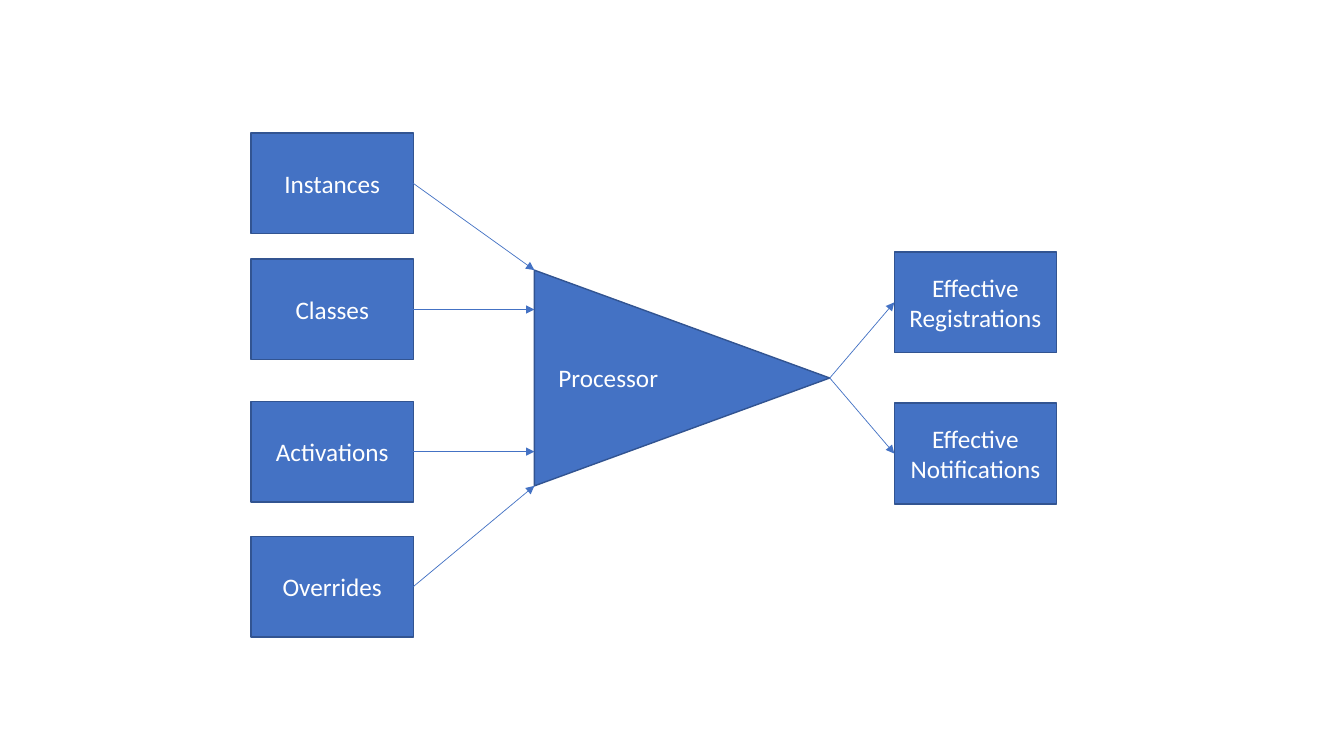
from dataclasses import dataclass

from lxml import etree
from pptx import Presentation
from pptx.dml.color import RGBColor
from pptx.enum.shapes import MSO_CONNECTOR, MSO_SHAPE
from pptx.enum.text import MSO_ANCHOR, PP_ALIGN
from pptx.oxml.ns import qn
from pptx.shapes.autoshape import Shape
from pptx.slide import Slide
from pptx.text.text import TextFrame
from pptx.util import Inches, Pt

RECTANGLE = MSO_SHAPE.RECTANGLE
STRAIGHT = MSO_CONNECTOR.STRAIGHT
MIDDLE = MSO_ANCHOR.MIDDLE
LEFT, CENTER = PP_ALIGN.LEFT, PP_ALIGN.CENTER

SLIDE_WIDTH, SLIDE_HEIGHT = Inches(13.33), Inches(7.5)
BLANK_LAYOUT = 6


@dataclass(frozen=True)
class Theme:
    """Colours, font and line weights of the diagram."""
    fill: RGBColor = RGBColor(0x44, 0x72, 0xC4)
    outline: RGBColor = RGBColor(0x32, 0x54, 0x91)
    text: RGBColor = RGBColor(0xFF, 0xFF, 0xFF)
    font: str = "Calibri"
    text_size: Pt = Pt(18)
    outline_width: Pt = Pt(1)
    arrow_width: Pt = Pt(0.5)


@dataclass(frozen=True)
class Node:
    """A labelled box; its top is a percentage of the slide height."""
    label: str
    top: float

    @property
    def middle(self) -> float:
        """Vertical centre of the box."""
        return self.top + NODE_HEIGHT / 2


THEME = Theme()

# Horizontal and vertical percentages of the slide size
NODE_WIDTH, NODE_HEIGHT = 12.08, 13.33
INPUT_LEFT, OUTPUT_LEFT = 18.68, 66.54
PROCESSOR_LEFT, PROCESSOR_TIP = 39.76, 61.74
PROCESSOR_MIDDLE, PROCESSOR_HALF = 50, 14.27
PROCESSOR_TOP = PROCESSOR_MIDDLE - PROCESSOR_HALF
PROCESSOR_BOTTOM = PROCESSOR_MIDDLE + PROCESSOR_HALF
LABEL_LEFT, LABEL_TOP, LABEL_WIDTH, LABEL_HEIGHT = 40.81, 47.33, 9, 5.33

INPUTS = [
    Node("Instances", 17.6),
    Node("Classes", 34.27),
    Node("Activations", 53.07),
    Node("Overrides", 70.93),
]
OUTPUTS = [
    Node("Effective Registrations", 33.33),
    Node("Effective Notifications", 53.33),
]


def across(percent: float) -> int:
    """Turn a percentage of the slide width into a length."""
    return round(SLIDE_WIDTH * percent / 100)


def down(percent: float) -> int:
    """Turn a percentage of the slide height into a length."""
    return round(SLIDE_HEIGHT * percent / 100)


def style_shape(shape: Shape) -> None:
    """Apply the fill and outline and remove the shadow."""
    shape.shadow.inherit = False
    shape.fill.solid()
    shape.fill.fore_color.rgb = THEME.fill
    shape.line.color.rgb = THEME.outline
    shape.line.width = THEME.outline_width


def write_label(frame: TextFrame, label: str, alignment: PP_ALIGN) -> None:
    """Write a label in the theme's type."""
    para = frame.paragraphs[0]
    para.alignment = alignment
    span = para.add_run()
    span.text = label
    span.font.name = THEME.font
    span.font.size = THEME.text_size
    span.font.color.rgb = THEME.text


def draw_node(page: Slide, node: Node, left: float) -> None:
    """Draw a labelled box in the column that starts at left."""
    box = page.shapes.add_shape(RECTANGLE, across(left), down(node.top),
                                across(NODE_WIDTH), down(NODE_HEIGHT))
    style_shape(box)
    box.text_frame.word_wrap = True
    box.text_frame.vertical_anchor = MIDDLE
    write_label(box.text_frame, node.label, CENTER)


def draw_processor(page: Slide) -> None:
    """Draw the triangle that points right, with its label."""
    left = across(PROCESSOR_LEFT)
    builder = page.shapes.build_freeform(left, down(PROCESSOR_BOTTOM))
    builder.add_line_segments([
        (left, down(PROCESSOR_TOP)),
        (across(PROCESSOR_TIP), down(PROCESSOR_MIDDLE)),
    ], close=True)
    style_shape(builder.convert_to_shape())
    box = page.shapes.add_textbox(across(LABEL_LEFT), down(LABEL_TOP),
                                  across(LABEL_WIDTH), down(LABEL_HEIGHT))
    box.text_frame.word_wrap = False
    write_label(box.text_frame, "Processor", LEFT)


def draw_arrow(page: Slide, start: tuple[float, float],
               end: tuple[float, float]) -> None:
    """Draw a thin arrow between two points given in percentages."""
    arrow = page.shapes.add_connector(STRAIGHT, across(start[0]), down(start[1]),
                                      across(end[0]), down(end[1]))
    arrow.line.color.rgb = THEME.fill
    arrow.line.width = THEME.arrow_width
    properties = arrow.line._get_or_add_ln()
    etree.SubElement(properties, qn("a:tailEnd"), type="triangle")
    etree.SubElement(properties.getparent(), qn("a:effectLst"))


def main() -> None:
    """Build the slide and save it."""
    deck = Presentation()
    deck.slide_width, deck.slide_height = SLIDE_WIDTH, SLIDE_HEIGHT
    page = deck.slides.add_slide(deck.slide_layouts[BLANK_LAYOUT])

    draw_processor(page)
    for node in INPUTS:
        draw_node(page, node, INPUT_LEFT)
        # Arrows run level unless the box lies beyond the triangle's edge
        entry = min(max(node.middle, PROCESSOR_TOP), PROCESSOR_BOTTOM)
        draw_arrow(page, (INPUT_LEFT + NODE_WIDTH, node.middle),
                   (PROCESSOR_LEFT, entry))
    for node in OUTPUTS:
        draw_node(page, node, OUTPUT_LEFT)
        draw_arrow(page, (PROCESSOR_TIP, PROCESSOR_MIDDLE),
                   (OUTPUT_LEFT, node.middle))

    deck.save("out.pptx")


main()
